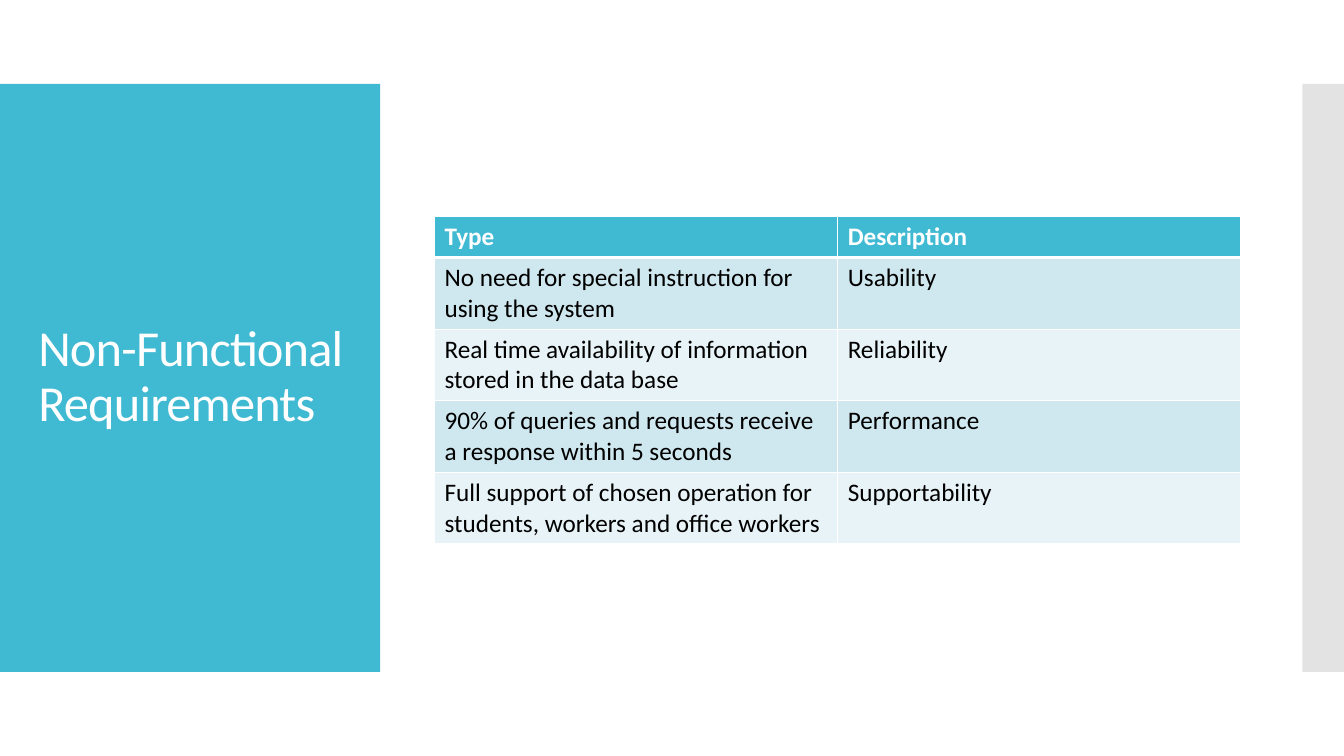
from dataclasses import dataclass

from lxml import etree
from pptx import Presentation
from pptx.dml.color import RGBColor
from pptx.enum.shapes import MSO_SHAPE
from pptx.enum.text import MSO_ANCHOR, MSO_AUTO_SIZE, PP_ALIGN
from pptx.oxml.ns import qn
from pptx.slide import Slide
from pptx.table import _Cell as Cell
from pptx.util import Inches, Pt

RECTANGLE = MSO_SHAPE.RECTANGLE
MIDDLE = MSO_ANCHOR.MIDDLE
NO_AUTOFIT = MSO_AUTO_SIZE.NONE
LEFT = PP_ALIGN.LEFT

WHITE = RGBColor(0xFF, 0xFF, 0xFF)
BLACK = RGBColor(0x00, 0x00, 0x00)
TURQUOISE = RGBColor(0x40, 0xBA, 0xD2)
GREY = RGBColor(0xC8, 0xC8, 0xC8)
BAND_COLOURS = (RGBColor(0xCF, 0xE7, 0xEE), RGBColor(0xE8, 0xF3, 0xF7))

FONT = "Calibri"
SLIDE_WIDTH, SLIDE_HEIGHT = Inches(13.33), Inches(7.5)
HEADER_HEIGHT, BODY_HEIGHT = Inches(0.41), Inches(0.7)
THIN, THICK = Pt(1), Pt(3)


@dataclass(frozen=True)
class Area:
    """A rectangle in percent of the slide's width and height."""
    left: float
    top: float
    width: float
    height: float

    def emu(self) -> tuple[int, int, int, int]:
        return (round(SLIDE_WIDTH * self.left / 100), round(SLIDE_HEIGHT * self.top / 100),
                round(SLIDE_WIDTH * self.width / 100), round(SLIDE_HEIGHT * self.height / 100))


@dataclass(frozen=True)
class Panel:
    area: Area
    colour: RGBColor
    opacity: int = 100


@dataclass(frozen=True)
class Requirement:
    type: str
    description: str


PANELS = (
    Panel(Area(0, 11.11, 28.28, 77.78), TURQUOISE),
    Panel(Area(96.9, 11.11, 3.1, 77.78), GREY, opacity=50),
)
TITLE_AREA = Area(2.1, 16.4, 24.16, 67.07)
TABLE_AREA = Area(32.33, 28.6, 60, 42.8)

HEADING = Requirement("Type", "Description")
REQUIREMENTS = (
    Requirement("No need for special instruction for using the system", "Usability"),
    Requirement("Real time availability of information stored in the data base", "Reliability"),
    Requirement("90% of queries and requests receive a response within 5 seconds", "Performance"),
    Requirement("Full support of chosen operation for students, workers and office workers",
                "Supportability"),
)


def add_panel(slide: Slide, panel: Panel) -> None:
    """Draw a plain panel behind the title."""
    block = slide.shapes.add_shape(RECTANGLE, *panel.area.emu())
    block.shadow.inherit = False
    block.line.fill.background()
    block.fill.solid()
    block.fill.fore_color.rgb = panel.colour
    if panel.opacity < 100:
        colour = block.element.spPr.find(f"{qn('a:solidFill')}/{qn('a:srgbClr')}")
        etree.SubElement(colour, qn("a:alpha"), val=str(panel.opacity * 1000))
    slide.shapes.title.element.addprevious(block.element)


def set_title(slide: Slide, wording: str) -> None:
    title = slide.shapes.title
    title.left, title.top, title.width, title.height = TITLE_AREA.emu()
    frame = title.text_frame
    frame.text = wording
    frame.word_wrap = True
    frame.auto_size = NO_AUTOFIT
    frame.vertical_anchor = MIDDLE
    paragraph = frame.paragraphs[0]
    paragraph.alignment = LEFT
    paragraph.line_spacing = 0.9
    font = paragraph.runs[0].font
    font.name, font.size = FONT, Pt(36)
    font.color.rgb = WHITE
    paragraph.runs[0].font._element.set("spc", "-60")


def set_borders(cell: Cell, top: int, bottom: int) -> None:
    """Give a cell white borders, thin at both sides."""
    properties = cell._tc.get_or_add_tcPr()
    widths = {"a:lnL": THIN, "a:lnR": THIN, "a:lnT": top, "a:lnB": bottom}
    for position, (side, width) in enumerate(widths.items()):
        border = etree.Element(qn(side), w=str(int(width)))
        fill = etree.SubElement(border, qn("a:solidFill"))
        etree.SubElement(fill, qn("a:srgbClr"), val=str(WHITE))
        properties.insert(position, border)


def fill_cell(cell: Cell, wording: str, row: int) -> None:
    is_header = row == 0
    cell.fill.solid()
    cell.fill.fore_color.rgb = TURQUOISE if is_header else BAND_COLOURS[(row - 1) % 2]
    set_borders(cell, top=THICK if row == 1 else THIN, bottom=THICK if is_header else THIN)
    cell.text_frame.text = wording
    font = cell.text_frame.paragraphs[0].runs[0].font
    font.name, font.size, font.bold = FONT, Pt(18), is_header
    font.color.rgb = WHITE if is_header else BLACK


def add_requirements(slide: Slide) -> None:
    entries = (HEADING, *REQUIREMENTS)
    table = slide.shapes.add_table(len(entries), 2, *TABLE_AREA.emu()).table
    for row, entry in enumerate(entries):
        table.rows[row].height = BODY_HEIGHT if row else HEADER_HEIGHT
        for column, wording in enumerate((entry.type, entry.description)):
            fill_cell(table.cell(row, column), wording, row)


def main() -> None:
    presentation = Presentation()
    presentation.slide_width, presentation.slide_height = SLIDE_WIDTH, SLIDE_HEIGHT
    title_only = presentation.slide_layouts[5]
    slide = presentation.slides.add_slide(title_only)
    for panel in PANELS:
        add_panel(slide, panel)
    set_title(slide, "Non-Functional Requirements")
    add_requirements(slide)
    presentation.save("out.pptx")


if __name__ == "__main__":
    main()
